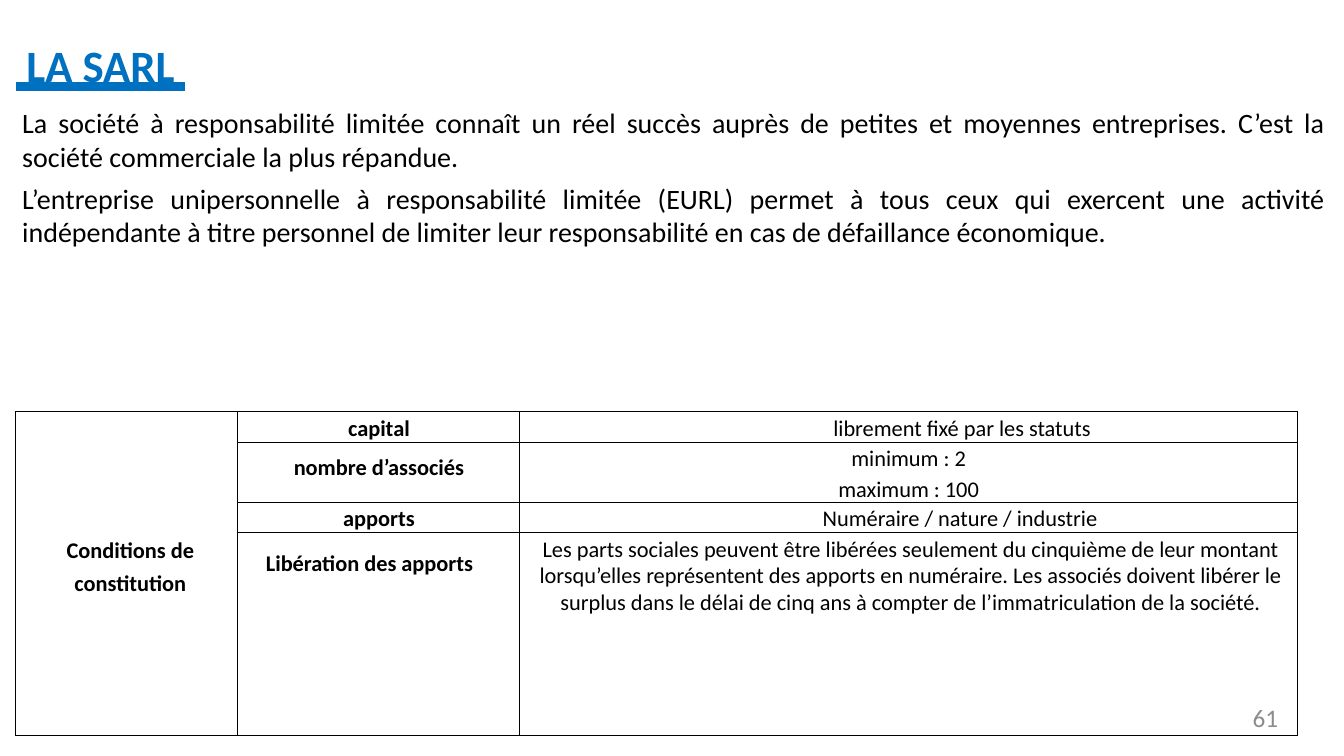
from dataclasses import dataclass

import pptx
import pptx.dml.color
import pptx.enum.shapes
import pptx.enum.text
import pptx.oxml
import pptx.oxml.ns
import pptx.util

Cm = pptx.util.Cm
Pt = pptx.util.Pt
Align = pptx.enum.text.PP_ALIGN
RGBColor = pptx.dml.color.RGBColor

BLACK = RGBColor(0x00, 0x00, 0x00)
WHITE = RGBColor(0xFF, 0xFF, 0xFF)
BLUE = RGBColor(0x00, 0x70, 0xC0)
GREY = RGBColor(0x8C, 0x8C, 0x8C)

LEFT = 0.38
COLUMN_WIDTHS = (5.61, 7.09, 19.61)
ROW_HEIGHTS = (0.77, 1.51, 0.76, 5.11)


@dataclass(frozen=True)
class TextStyle:
    size: float
    color: RGBColor = BLACK
    bold: bool = False
    underline: object = None
    align: Align = Align.CENTER
    indent: float = 0
    space_before: float = 0
    line_spacing: object = None


@dataclass(frozen=True)
class TableEntry:
    row: int
    column: int
    lines: tuple[str, ...]
    bold: bool = False
    top: float = 0.08
    indent: float = 0.03
    align: Align = Align.CENTER
    space_before: float = 0
    line_spacing: object = None


ENTRIES = (
    TableEntry(0, 0, ("Conditions de constitution",), True, 3.05, 0.2, line_spacing=1.18),
    TableEntry(0, 1, ("capital",), True),
    TableEntry(0, 2, ("librement fixé par les statuts",), indent=2.72),
    TableEntry(1, 1, ("nombre d’associés",), True, 0.3),
    TableEntry(1, 2, ("minimum : 2", "maximum : 100"), space_before=2.4),
    TableEntry(2, 1, ("apports",), True),
    TableEntry(2, 2, ("Numéraire / nature / industrie",), indent=2.62),
    TableEntry(3, 1, ("Libération des apports",), True, 0.69, 0.71, Align.LEFT,
               line_spacing=Pt(12.7)),
    TableEntry(3, 2, (
        "Les parts sociales peuvent être libérées seulement du cinquième de leur montant "
        "lorsqu’elles représentent des apports en numéraire. Les associés doivent libérer "
        "le surplus dans le délai de cinq ans à compter de l’immatriculation de la société.",
    ), top=0.1, indent=0.13, line_spacing=0.96),
)


def write_text(frame, lines: tuple[str, ...], style: TextStyle) -> None:
    for index, line in enumerate(lines):
        para = frame.add_paragraph() if index else frame.paragraphs[0]
        para.alignment = style.align
        para.line_spacing = style.line_spacing
        if index:
            para.space_before = Pt(style.space_before)
        properties = para._p.get_or_add_pPr()
        properties.set("marL", str(Cm(style.indent)))
        properties.set("indent", "0")
        span = para.add_run()
        span.text = line
        span.font.color.rgb = style.color
        formats = {"name": "Calibri", "size": Pt(style.size),
                   "bold": style.bold, "underline": style.underline}
        for name, value in formats.items():
            setattr(span.font, name, value)


def set_frame(frame, top: float) -> None:
    formats = {"word_wrap": True, "margin_left": 0, "margin_right": 0,
               "margin_top": Cm(top), "margin_bottom": 0,
               "vertical_anchor": pptx.enum.text.MSO_ANCHOR.TOP}
    for name, value in formats.items():
        setattr(frame, name, value)


def add_text(page, place: tuple[float, ...], top: float,
             lines: tuple[str, ...], style: TextStyle) -> None:
    box = page.shapes.add_textbox(*map(Cm, place))
    set_frame(box.text_frame, top)
    write_text(box.text_frame, lines, style)


def format_cell(cell) -> None:
    properties = cell._tc.get_or_add_tcPr()
    for side in ("lnL", "lnR", "lnT", "lnB"):
        properties.append(pptx.oxml.parse_xml(
            f'<a:{side} {pptx.oxml.ns.nsdecls("a")} w="{Pt(0.5)}">'
            f'<a:solidFill><a:srgbClr val="{BLACK}"/></a:solidFill></a:{side}>'))
    cell.fill.background()
    for margin in ("left", "right", "top", "bottom"):
        setattr(cell, f"margin_{margin}", 0)


def add_conditions_table(page) -> None:
    table = page.shapes.add_table(
        len(ROW_HEIGHTS), len(COLUMN_WIDTHS), Cm(LEFT), Cm(10.37),
        Cm(sum(COLUMN_WIDTHS)), Cm(sum(ROW_HEIGHTS))).table
    table.first_row = table.horz_banding = False
    for column, width in zip(table.columns, COLUMN_WIDTHS):
        column.width = Cm(width)
    for row, height in zip(table.rows, ROW_HEIGHTS):
        row.height = Cm(height)
    for cell in table.iter_cells():
        format_cell(cell)
    table.cell(0, 0).merge(table.cell(len(ROW_HEIGHTS) - 1, 0))
    for entry in ENTRIES:
        cell = table.cell(entry.row, entry.column)
        cell.margin_top = Cm(entry.top)
        write_text(cell.text_frame, entry.lines, TextStyle(
            16, bold=entry.bold, align=entry.align, indent=entry.indent,
            space_before=entry.space_before, line_spacing=entry.line_spacing))


def main() -> None:
    deck = pptx.Presentation()
    deck.slide_width, deck.slide_height = Cm(33.87), Cm(19.05)
    page = deck.slides.add_slide(deck.slide_layouts[6])

    # Introduction
    intro = page.shapes.add_shape(pptx.enum.shapes.MSO_SHAPE.RECTANGLE,
                                  Cm(LEFT), Cm(2.62), Cm(33.02), Cm(3.68))
    intro.shadow.inherit = False
    intro.fill.background()
    intro.line.color.rgb = WHITE
    intro.line.width = Pt(0.48)
    set_frame(intro.text_frame, 0.05)
    write_text(intro.text_frame, (
        "La société à responsabilité limitée connaît un réel succès auprès de petites et "
        "moyennes entreprises. C’est la société commerciale la plus répandue.",
        "L’entreprise unipersonnelle à responsabilité limitée (EURL) permet à tous ceux qui "
        "exercent une activité indépendante à titre personnel de limiter leur "
        "responsabilité en cas de défaillance économique.",
    ), TextStyle(20, align=Align.JUSTIFY, indent=0.18, space_before=5.6))

    # Title
    add_text(page, (LEFT, 0.91, 14.6, 1.4), 0.03, (" LA SARL ",), TextStyle(
        32, BLUE, True, pptx.enum.text.MSO_UNDERLINE.HEAVY_LINE, Align.LEFT, 0.03))

    # Conditions table
    add_conditions_table(page)

    # Page number
    add_text(page, (24.41, 17.7, 7.8, 0.76), 0, ("61",),
             TextStyle(18, GREY, align=Align.RIGHT))

    deck.save("out.pptx")


if __name__ == "__main__":
    main()
